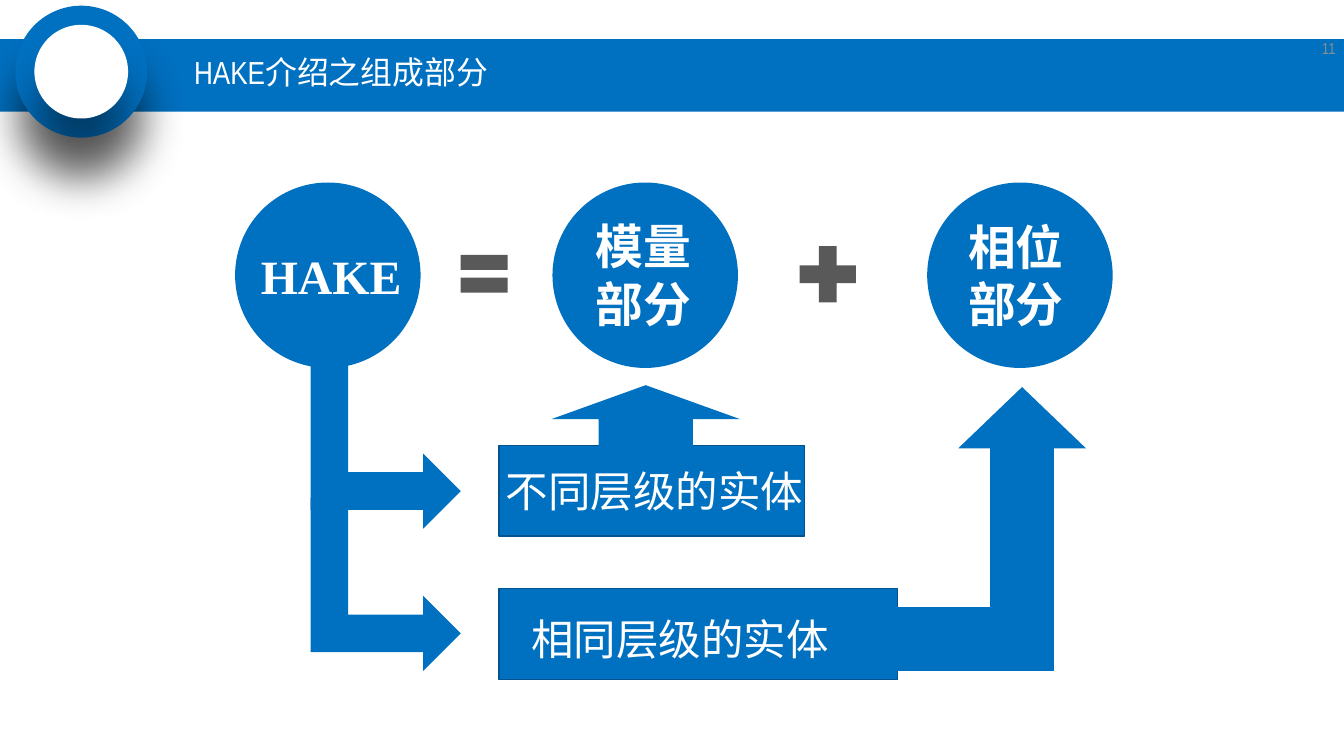
from lxml import etree
from pptx import Presentation
from pptx.dml.color import RGBColor
from pptx.enum.shapes import MSO_SHAPE
from pptx.enum.text import MSO_ANCHOR, MSO_AUTO_SIZE, PP_ALIGN
from pptx.oxml import parse_xml
from pptx.oxml.ns import nsdecls
from pptx.util import Inches, Pt

RECTANGLE = MSO_SHAPE.RECTANGLE
OVAL = MSO_SHAPE.OVAL
PLUS = MSO_SHAPE.MATH_PLUS
EQUAL = MSO_SHAPE.MATH_EQUAL
UP_ARROW = MSO_SHAPE.UP_ARROW
BENT_ARROW = MSO_SHAPE.BENT_UP_ARROW
TOP = MSO_ANCHOR.TOP
MIDDLE = MSO_ANCHOR.MIDDLE
LEFT = PP_ALIGN.LEFT
RIGHT = PP_ALIGN.RIGHT
NO_AUTOFIT = MSO_AUTO_SIZE.NONE

BLUE = RGBColor(0x00, 0x70, 0xC0)
DARK_BLUE = RGBColor(0x00, 0x53, 0x8E)
WHITE = RGBColor(0xFF, 0xFF, 0xFF)
GREY = RGBColor(0x59, 0x59, 0x59)
NUMBER_GREY = RGBColor(0x8C, 0x8C, 0x8C)

CIRCLE_SIZE = 1.94
CIRCLE_TOP = 1.91
BOX_LEFT = 5.22
BOX_HEIGHT = 0.95


def add_filled(slide, kind, left, top, width, height, color=BLUE, outline=None):
    shape = slide.shapes.add_shape(
        kind, Inches(left), Inches(top), Inches(width), Inches(height))
    shape.shadow.inherit = False
    shape.fill.solid()
    shape.fill.fore_color.rgb = color
    if outline is None:
        shape.line.fill.background()
    else:
        shape.line.color.rgb = outline
        shape.line.width = Pt(1)
    return shape


def drop_shadow(shape):
    properties = shape._element.spPr
    effects = properties.find("{*}effectLst")
    shadow = parse_xml(
        f'<a:outerShdw {nsdecls("a")} blurRad="{Pt(33)}" dist="{Pt(33)}" '
        'dir="5400000" algn="t" rotWithShape="0"/>')
    color = etree.SubElement(shadow, shadow.tag.replace("outerShdw", "srgbClr"), val="000000")
    etree.SubElement(color, shadow.tag.replace("outerShdw", "alpha"), val="43000")
    effects.append(shadow)


def write_text(shape, text, size, font, color=WHITE, bold=False, align=LEFT, anchor=TOP):
    frame = shape.text_frame
    frame.text = text
    frame.word_wrap = True
    frame.auto_size = NO_AUTOFIT
    frame.vertical_anchor = anchor
    paragraph = frame.paragraphs[0]
    paragraph.alignment = align
    paragraph.font.size = Pt(size)
    paragraph.font.name = font
    paragraph.font.bold = bold
    paragraph.font.color.rgb = color
    return paragraph


def add_text(slide, text, left, top, width, height, size, font, **style):
    box = slide.shapes.add_textbox(
        Inches(left), Inches(top), Inches(width), Inches(height))
    write_text(box, text, size, font, **style)


def add_header(slide):
    add_filled(slide, RECTANGLE, 0, 0.41, 14.06, 0.76)
    for inset, color in ((0, BLUE), (0.2, WHITE)):
        size = 1.38 - 2 * inset
        ring = add_filled(slide, OVAL, 0.16 + inset, 0.06 + inset, size, size, color)
        drop_shadow(ring)

    title = slide.shapes.title
    title.left, title.top = Inches(1.93), Inches(0.5)
    title.width, title.height = Inches(3.47), Inches(0.55)
    paragraph = write_text(title, "HAKE介绍之组成部分", 24, "Arial Narrow", anchor=MIDDLE)
    paragraph.line_spacing = 0.9
    slide.shapes._spTree.append(title._element)

    add_text(slide, "11", 13.38, 0.29, 0.69, 0.42, 12, "Arial Narrow",
             color=NUMBER_GREY, align=RIGHT, anchor=MIDDLE)


def add_equation(slide):
    for left in (2.46, 5.78, 9.7):
        add_filled(slide, OVAL, left, CIRCLE_TOP, CIRCLE_SIZE, CIRCLE_SIZE)
    add_filled(slide, EQUAL, 4.73, 2.53, 0.67, 0.67, GREY)
    add_filled(slide, PLUS, 8.26, 2.47, 0.8, 0.8, GREY)
    add_text(slide, "HAKE", 2.63, 2.53, 1.79, 0.71, 36, "Times New Roman", bold=True)
    add_text(slide, "模量部分", 6.13, 2.22, 1.24, 1.31, 36, "Calibri", bold=True)
    add_text(slide, "相位部分", 10.03, 2.23, 1.3, 1.31, 36, "Calibri", bold=True)


def add_explanations(slide):
    for top in (3.84, 5.33):
        branch = add_filled(slide, BENT_ARROW, 3.13, top, 1.81, 1.57)
        branch.rotation = 90

    add_filled(slide, RECTANGLE, BOX_LEFT, 4.66, 3.2, BOX_HEIGHT, outline=DARK_BLUE)
    add_filled(slide, RECTANGLE, BOX_LEFT, 6.16, 4.17, BOX_HEIGHT, outline=DARK_BLUE)
    add_text(slide, "不同层级的实体", 5.19, 4.82, 3.38, 0.64, 32, "Calibri")
    add_text(slide, "相同层级的实体", 5.46, 6.36, 3.55, 0.64, 32, "Calibri")

    add_filled(slide, UP_ARROW, 5.77, 4.03, 1.97, 0.71)
    phase_arrow = add_filled(slide, BENT_ARROW, 8.69, 4.05, 2.67, 2.97)
    phase_arrow.adjustments[2] = 0.24


def main():
    presentation = Presentation()
    presentation.slide_width = Inches(14.06)
    presentation.slide_height = Inches(7.91)
    slide = presentation.slides.add_slide(presentation.slide_layouts[5])
    add_header(slide)
    add_equation(slide)
    add_explanations(slide)
    presentation.save("out.pptx")


if __name__ == "__main__":
    main()
